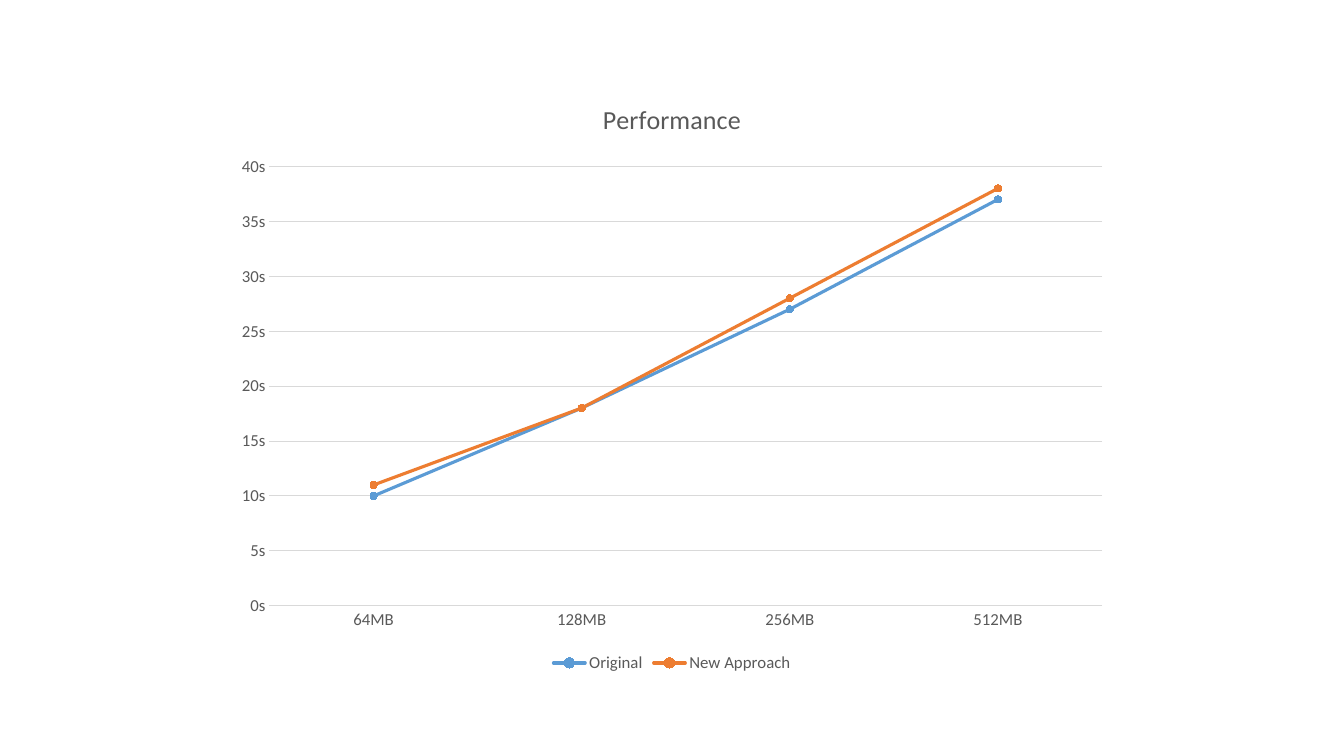
from dataclasses import dataclass

import pptx
import pptx.chart.data
import pptx.dml.color
import pptx.enum.chart
import pptx.oxml.ns
import pptx.util


@dataclass(frozen=True)
class Theme:
    """Colours, font and type sizes of the slide."""
    font: str = "Calibri"
    text: str = "595959"
    rule: str = "D9D9D9"
    original: str = "5B9BD5"
    new_approach: str = "ED7D31"
    title_size: float = 18.6
    label_size: float = 12
    rule_width: float = 0.75
    series_width: float = 2.25
    marker_size: int = 5


THEME = Theme()
EMU_PER_PIXEL = 914400 / 100.8


def px(pixels):
    """Turn pixels into EMU."""
    return pptx.util.Emu(round(pixels * EMU_PER_PIXEL))


def style_font(font, size):
    """Apply the theme's typeface and text colour at the given size."""
    font.name = THEME.font
    font.size = pptx.util.Pt(size)
    font.bold = False
    font.color.rgb = pptx.dml.color.RGBColor.from_string(THEME.text)


deck = pptx.Presentation()
deck.slide_width, deck.slide_height = px(1344), px(756)
slide = deck.slides.add_slide(deck.slide_layouts[6])

timings = pptx.chart.data.CategoryChartData(number_format="0\\s")
timings.categories = ["64MB", "128MB", "256MB", "512MB"]
timings.add_series("Original", [10, 18, 27, 37])
timings.add_series("New Approach", [11, 18, 28, 38])

performance = slide.shapes.add_chart(
    pptx.enum.chart.XL_CHART_TYPE.LINE_MARKERS,
    px(224), px(79), px(896), px(598), timings).chart
style_font(performance.font, THEME.label_size)

performance.has_title = True
heading = performance.chart_title.text_frame
heading.text = "Performance"
style_font(heading.paragraphs[0].runs[0].font, THEME.title_size)
performance.chart_title.include_in_layout = False

performance.has_legend = True
performance.legend.position = pptx.enum.chart.XL_LEGEND_POSITION.BOTTOM
performance.legend.include_in_layout = False
style_font(performance.legend.font, THEME.label_size)

sizes, seconds = performance.category_axis, performance.value_axis
for axis in (sizes, seconds):
    axis.major_tick_mark = pptx.enum.chart.XL_TICK_MARK.NONE
    axis.minor_tick_mark = pptx.enum.chart.XL_TICK_MARK.NONE
    style_font(axis.tick_labels.font, THEME.label_size)

seconds.minimum_scale, seconds.maximum_scale, seconds.major_unit = 0, 40, 5
seconds.tick_labels.number_format = "0\\s"
seconds.tick_labels.number_format_is_linked = False
seconds.format.line.fill.background()
seconds.has_major_gridlines = True
for rule in (sizes.format.line, seconds.major_gridlines.format.line):
    rule.color.rgb = pptx.dml.color.RGBColor.from_string(THEME.rule)
    rule.width = pptx.util.Pt(THEME.rule_width)

plot = performance.plots[0]
plot.vary_by_categories = False
for timing, colour in zip(plot.series, (THEME.original, THEME.new_approach)):
    rgb = pptx.dml.color.RGBColor.from_string(colour)
    timing.smooth = False
    timing.format.line.color.rgb = rgb
    timing.format.line.width = pptx.util.Pt(THEME.series_width)
    # Round line ends
    outline = next(timing._element.iter(pptx.oxml.ns.qn("a:ln")))
    outline.set("cap", "rnd")
    timing.marker.style = pptx.enum.chart.XL_MARKER_STYLE.CIRCLE
    timing.marker.size = THEME.marker_size
    timing.marker.format.fill.solid()
    timing.marker.format.fill.fore_color.rgb = rgb
    timing.marker.format.line.color.rgb = rgb

deck.save("out.pptx")
